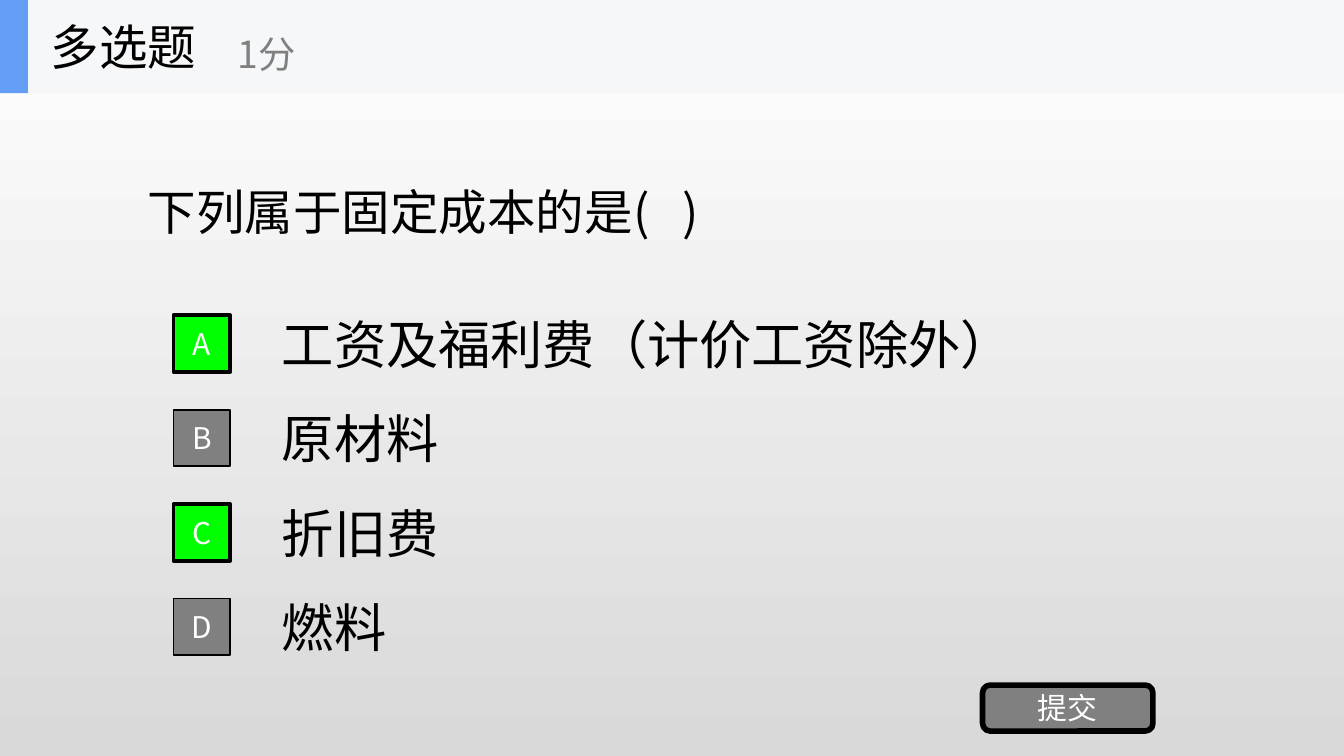
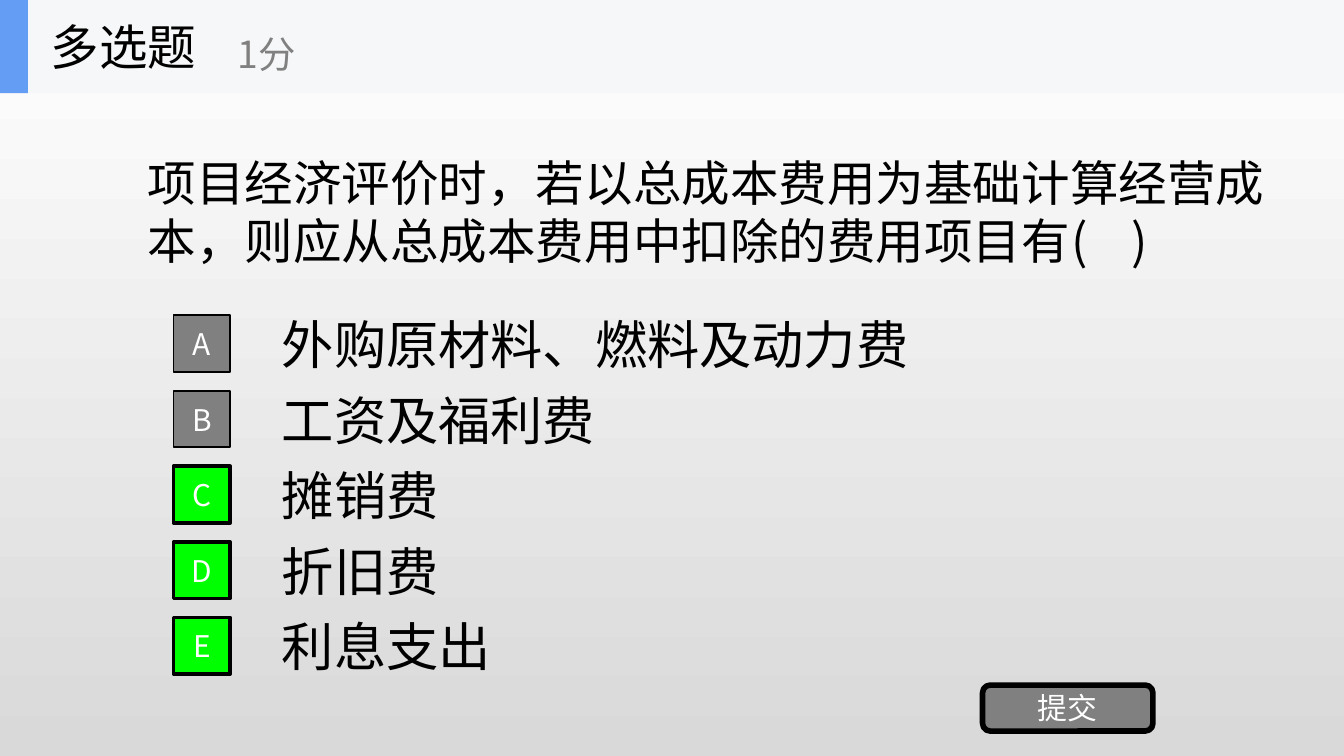
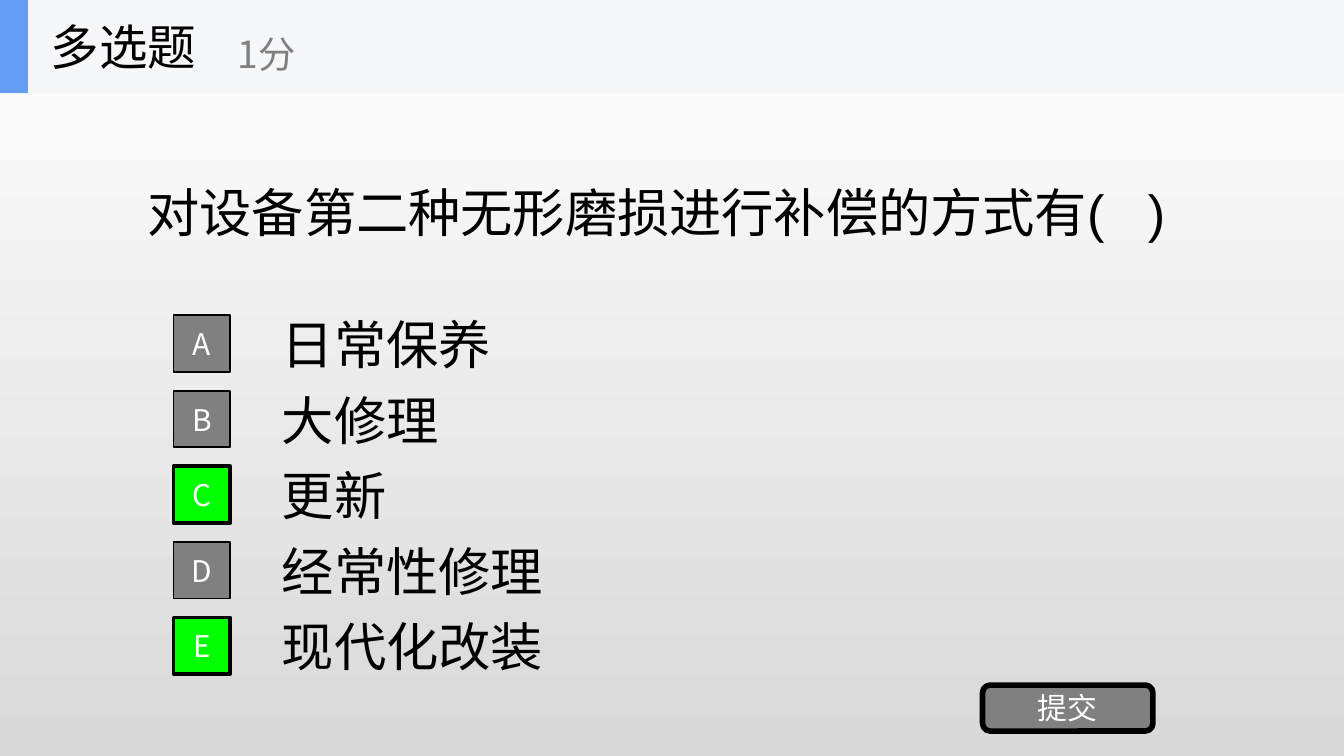
import dataclasses

import lxml.etree
import pptx
import pptx.dml.color
import pptx.enum.shapes
import pptx.enum.text
import pptx.oxml.ns
import pptx.util

Cm = pptx.util.Cm
ShapeKind = pptx.enum.shapes.MSO_SHAPE
Align = pptx.enum.text.PP_ALIGN


@dataclasses.dataclass(frozen=True)
class Theme:
    black: str = "000000"
    white: str = "FFFFFF"
    gray: str = "808080"
    correct: str = "00FF00"
    accent: str = "639EF4"
    band: str = "F6F7F8"
    background_end: str = "D9D9D9"
    main_font: str = "Noto Sans CJK SC"
    answer_font: str = "Arial"
    answer_size: int = 28
    title_size: int = 26
    points_size: int = 20
    label_size: int = 16


@dataclasses.dataclass(frozen=True)
class Box:
    left: float
    top: float
    width: float
    height: float

    def inner(self, left, top, width, height):
        return Box(self.left + left, self.top + top, width, height)

    def lengths(self):
        return [Cm(value) for value in dataclasses.astuple(self)]


@dataclasses.dataclass(frozen=True)
class Question:
    text: str
    answers: tuple
    correct: str
    width: float = 20.32
    font: str = Theme.main_font
    size: int = Theme.title_size


THEME = Theme()
PAGE = Box(0, 0, 25.4, 14.29)
HEADER = Box(0, 0, 25.4, 1.76)
ANSWERS = Box(3.28, 5.82, 19.58, 7.14)
SUBMIT = Box(18.57, 12.95, 3.22, 0.87)

QUESTIONS = (
    Question(
        "下列属于固定成本的是(   )",
        ("工资及福利费（计价工资除外）", "原材料", "折旧费", "燃料"),
        "AC",
    ),
    Question(
        "项目经济评价时，若以总成本费用为基础计算经营成本，则应从总成本费用中扣除的费用项目有(    )",
        ("外购原材料、燃料及动力费", "工资及福利费", "摊销费", "折旧费", "利息支出"),
        "CDE",
        width=22.15,
    ),
    Question(
        "对设备第二种无形磨损进行补偿的方式有(   )",
        ("日常保养", "大修理", "更新", "经常性修理", "现代化改装"),
        "CE",
        font=THEME.answer_font,
        size=THEME.answer_size,
    ),
)


def rgb(color):
    return pptx.dml.color.RGBColor.from_string(color)


def write_text(shape, text, size, color, font=THEME.main_font, align=Align.LEFT, wrap=True):
    frame = shape.text_frame
    frame.word_wrap = wrap
    frame.vertical_anchor = pptx.enum.text.MSO_ANCHOR.MIDDLE
    paragraph = frame.paragraphs[0]
    paragraph.alignment = align
    run = paragraph.add_run()
    run.text = text
    run.font.name = font
    run.font.size = pptx.util.Pt(size)
    run.font.color.rgb = rgb(color)
    east_asian = lxml.etree.SubElement(run.font._element, pptx.oxml.ns.qn("a:ea"))
    east_asian.set("typeface", THEME.main_font)


def add_text(shapes, box, text, size, color=THEME.black, **style):
    write_text(shapes.add_textbox(*box.lengths()), text, size, color, **style)


def add_panel(shapes, kind, box, fill, line_width=0):
    shape = shapes.add_shape(kind, *box.lengths())
    shape.shadow.inherit = False
    shape.fill.solid()
    shape.fill.fore_color.rgb = rgb(fill)
    if line_width:
        shape.line.color.rgb = rgb(THEME.black)
        shape.line.width = pptx.util.Pt(line_width)
    else:
        shape.line.fill.background()
    return shape


def add_button(shapes, kind, box, text, fill, line_width):
    button = add_panel(shapes, kind, box, fill, line_width)
    frame = button.text_frame
    frame.margin_left = frame.margin_right = frame.margin_top = frame.margin_bottom = 0
    write_text(button, text, THEME.label_size, THEME.white, align=Align.CENTER)


def paint_background(slide):
    fill = slide.background.fill
    fill.gradient()
    fill.gradient_angle = 270
    for stop, color in zip(fill.gradient_stops, (THEME.white, THEME.background_end)):
        stop.color.rgb = rgb(color)


def add_header(slide, box):
    shapes = slide.shapes.add_group_shape().shapes
    add_panel(shapes, ShapeKind.RECTANGLE, box, THEME.band)
    add_panel(shapes, ShapeKind.RECTANGLE, box.inner(0, 0, 0.53, box.height), THEME.accent)
    add_text(shapes, box.inner(0.71, 0, 5.28, box.height), "多选题", THEME.title_size, wrap=False)
    add_text(shapes, box.inner(4.24, 0.31, 6.35, 1.42), "1分", THEME.points_size,
             THEME.gray, wrap=False)


def add_answers(slide, box, question):
    row_height, marker_side, text_offset = 1.35, 1.07, 1.8
    pitch = box.height / len(question.answers)
    for index, (letter, answer) in enumerate(zip("ABCDE", question.answers)):
        row = box.inner(0, index * pitch, box.width, row_height)
        add_text(slide.shapes, row.inner(text_offset, 0, box.width - text_offset, row_height),
                 answer, THEME.answer_size, font=THEME.answer_font)
        fill, line_width = (THEME.correct, 2) if letter in question.correct else (THEME.gray, 1)
        marker = row.inner(0, (row_height - marker_side) / 2, marker_side, marker_side)
        add_button(slide.shapes, ShapeKind.RECTANGLE, marker, letter, fill, line_width)


def add_question_slide(presentation, question, page):
    slide = presentation.slides.add_slide(presentation.slide_layouts[6])
    paint_background(slide)
    add_text(slide.shapes, page.inner(2.54, HEADER.height, question.width, 4.47),
             question.text, question.size, font=question.font)
    add_answers(slide, ANSWERS, question)
    add_button(slide.shapes, ShapeKind.ROUNDED_RECTANGLE, SUBMIT, "提交", THEME.gray, 3)
    add_header(slide, HEADER)


def main():
    presentation = pptx.Presentation()
    presentation.slide_width = Cm(PAGE.width)
    presentation.slide_height = Cm(PAGE.height)
    for question in QUESTIONS:
        add_question_slide(presentation, question, PAGE)
    presentation.save("out.pptx")


if __name__ == "__main__":
    main()
